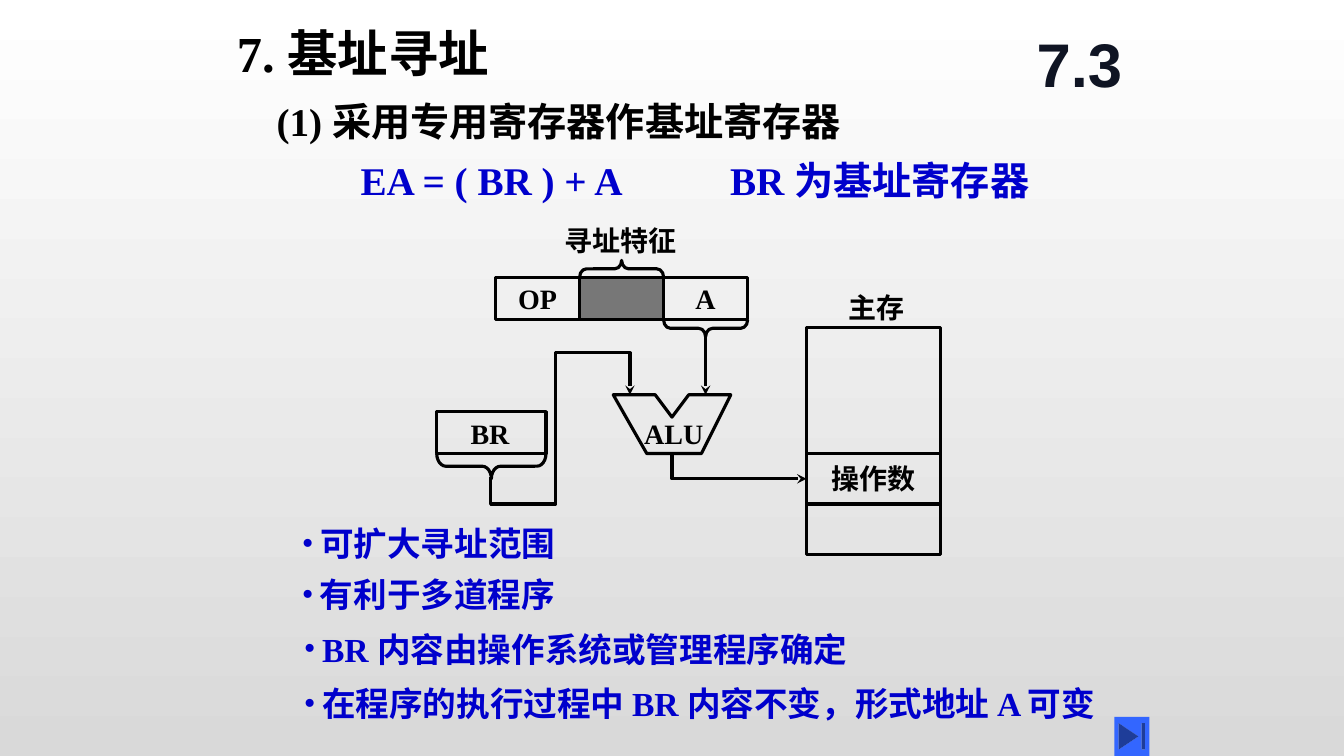
from dataclasses import dataclass
from typing import Optional

from lxml.etree import SubElement
from pptx import Presentation
from pptx.dml.color import RGBColor
from pptx.enum.shapes import MSO_CONNECTOR, MSO_SHAPE
from pptx.enum.text import MSO_ANCHOR, PP_ALIGN
from pptx.oxml.ns import qn
from pptx.util import Pt

BLACK = "000000"
BLUE = "0000CC"
SERIF = "Times New Roman"


@dataclass
class Label:
    text: str
    x: float
    y: float
    w: float
    h: float
    size: float = 20
    color: str = BLACK
    wrap: bool = False
    bullet: bool = False
    space: Optional[float] = None


@dataclass
class Cell:
    x: float
    y: float
    w: float
    h: float
    text: str = ""
    shade: bool = False


@dataclass
class Brace:
    x: float
    y: float
    w: float
    h: float
    turn: float
    curve: float


@dataclass
class Path:
    points: list[tuple[float, float]]
    close: bool = False


def paint(color: str) -> RGBColor:
    return RGBColor.from_string(color)


def write(shape, text: str, *, size: float = 20, color: str = BLACK,
          font: str = SERIF, align=PP_ALIGN.LEFT, anchor=MSO_ANCHOR.TOP,
          wrap: bool = False, bullet: bool = False,
          space: Optional[float] = None) -> None:
    frame = shape.text_frame
    frame.word_wrap = wrap
    frame.vertical_anchor = anchor
    para = frame.paragraphs[0]
    para.text = text
    para.alignment = align
    if space:
        para.line_spacing = space
    if bullet:
        props = para._p.get_or_add_pPr()
        props.set("marL", str(Pt(13)))
        props.set("indent", str(-Pt(13)))
        SubElement(props, qn("a:buFont")).set("typeface", SERIF)
        SubElement(props, qn("a:buChar")).set("char", "•")
    style = para.runs[0].font
    style.name = font
    style.size = Pt(size)
    style.bold = True
    style.color.rgb = paint(color)


def stroke(shape) -> None:
    shape.line.color.rgb = paint(BLACK)
    shape.line.width = Pt(2.25)


def arrow(shape) -> None:
    SubElement(shape.line._get_or_add_ln(), qn("a:tailEnd")).set("type", "stealth")


def outline(shape):
    shape.shadow.inherit = False
    shape.fill.background()
    stroke(shape)
    return shape


def add_label(shapes, item: Label) -> None:
    box = shapes.add_textbox(Pt(item.x), Pt(item.y), Pt(item.w), Pt(item.h))
    write(box, item.text, size=item.size, color=item.color, wrap=item.wrap,
          bullet=item.bullet, space=item.space)


def add_cell(shapes, item: Cell) -> None:
    box = outline(shapes.add_shape(MSO_SHAPE.RECTANGLE, Pt(item.x), Pt(item.y),
                                   Pt(item.w), Pt(item.h)))
    if item.shade:
        box.fill.solid()
        box.fill.fore_color.rgb = paint(BLACK)
        tone = box._element.spPr.find(qn("a:solidFill"))[0]
        SubElement(tone, qn("a:alpha")).set("val", "50000")
    if item.text:
        write(box, item.text, align=PP_ALIGN.CENTER, anchor=MSO_ANCHOR.MIDDLE)


def add_brace(shapes, item: Brace) -> None:
    brace = outline(shapes.add_shape(MSO_SHAPE.LEFT_BRACE, Pt(item.x), Pt(item.y),
                                     Pt(item.w), Pt(item.h)))
    brace.rotation = item.turn
    brace.adjustments[0] = item.curve


def add_path(shapes, item: Path) -> None:
    first, *rest = [(Pt(x), Pt(y)) for x, y in item.points]
    pen = shapes.build_freeform(*first)
    pen.add_line_segments(rest, close=item.close)
    shape = outline(pen.convert_to_shape())
    if not item.close:
        arrow(shape)


LABELS = [
    Label("(1) 采用专用寄存器作基址寄存器", 190.5, 66, 499, 41, 28, wrap=True),
    Label("EA = ( BR ) + A", 250.5, 108, 204, 41, 28, BLUE),
    Label("BR 为基址寄存器", 514.5, 108, 235, 41, 28, BLUE, True),
    Label("主存", 599, 204, 58, 32),
    Label("寻址特征", 396, 156, 98, 32),
    Label("ALU", 453, 294, 60, 32),
    Label("BR", 329, 294, 46, 32),
    Label("可扩大寻址范围", 208.5, 370, 204, 36, 24, BLUE, bullet=True),
    Label("有利于多道程序", 208.5, 406.5, 266, 36, 24, BLUE, True, True),
    Label("BR 内容由操作系统或管理程序确定", 210, 441, 582, 40, 24, BLUE, True, True, 1.15),
    Label("在程序的执行过程中 BR 内容不变，形式地址 A 可变", 210, 480, 648, 40, 24,
          BLUE, True, True, 1.15),
]
CELLS = [Cell(354 + 60 * i, 198, 60, 30, text, not text)
         for i, text in enumerate(["OP", "", "A"])]
CELLS += [
    Cell(576, 234, 96, 90),
    Cell(576, 324, 96, 36, "操作数"),
    Cell(576, 360, 96, 36),
    Cell(312, 294, 78, 30),
]
BRACES = [
    Brace(438, 162, 12, 60, 90, 0.41),
    Brace(498, 204.5, 12, 60, 270, 0.41),
    Brace(342, 294, 18, 78, 270, 0.36),
]
PATHS = [
    Path([(438, 282), (468, 282), (480, 298), (492, 282), (522, 282),
          (501, 324), (462, 324)], True),
    Path([(350.5, 340.5), (350.5, 360), (397, 360), (397, 252), (450, 252), (450, 282)]),
    Path([(480, 324), (480, 342), (576, 342)]),
]


def main() -> None:
    deck = Presentation()
    deck.slide_width, deck.slide_height = Pt(960), Pt(540)
    slide = deck.slides.add_slide(deck.slide_layouts[5])
    shapes = slide.shapes

    back = slide.background.fill
    back.gradient()
    back.gradient_angle = 270
    for stop, color in zip(back.gradient_stops, ["FFFFFF", "D9D9D9"]):
        stop.color.rgb = paint(color)

    title = shapes.title
    title.left, title.top, title.width, title.height = Pt(162), Pt(12), Pt(267), Pt(51)
    write(title, "7. 基址寻址", size=36, wrap=True)

    for cell in CELLS:
        add_cell(shapes, cell)
    for brace in BRACES:
        add_brace(shapes, brace)
    for path in PATHS:
        add_path(shapes, path)
    for label in LABELS:
        add_label(shapes, label)

    link = shapes.add_connector(MSO_CONNECTOR.STRAIGHT, Pt(504), Pt(240), Pt(504), Pt(282))
    stroke(link)
    arrow(link)
    SubElement(link._element.spPr, qn("a:effectLst"))

    mark = shapes.add_textbox(Pt(726), Pt(12), Pt(90), Pt(66))
    write(mark, "7.3", size=44, color="0F1423", font="Arial", wrap=True,
          align=PP_ALIGN.CENTER, anchor=MSO_ANCHOR.MIDDLE)

    end = shapes.add_shape(MSO_SHAPE.ACTION_BUTTON_END, Pt(796), Pt(512), Pt(25), Pt(28))
    end.shadow.inherit = False
    end.fill.solid()
    end.fill.fore_color.rgb = paint("3366FF")
    end.line.fill.background()

    deck.save("out.pptx")


if __name__ == "__main__":
    main()
